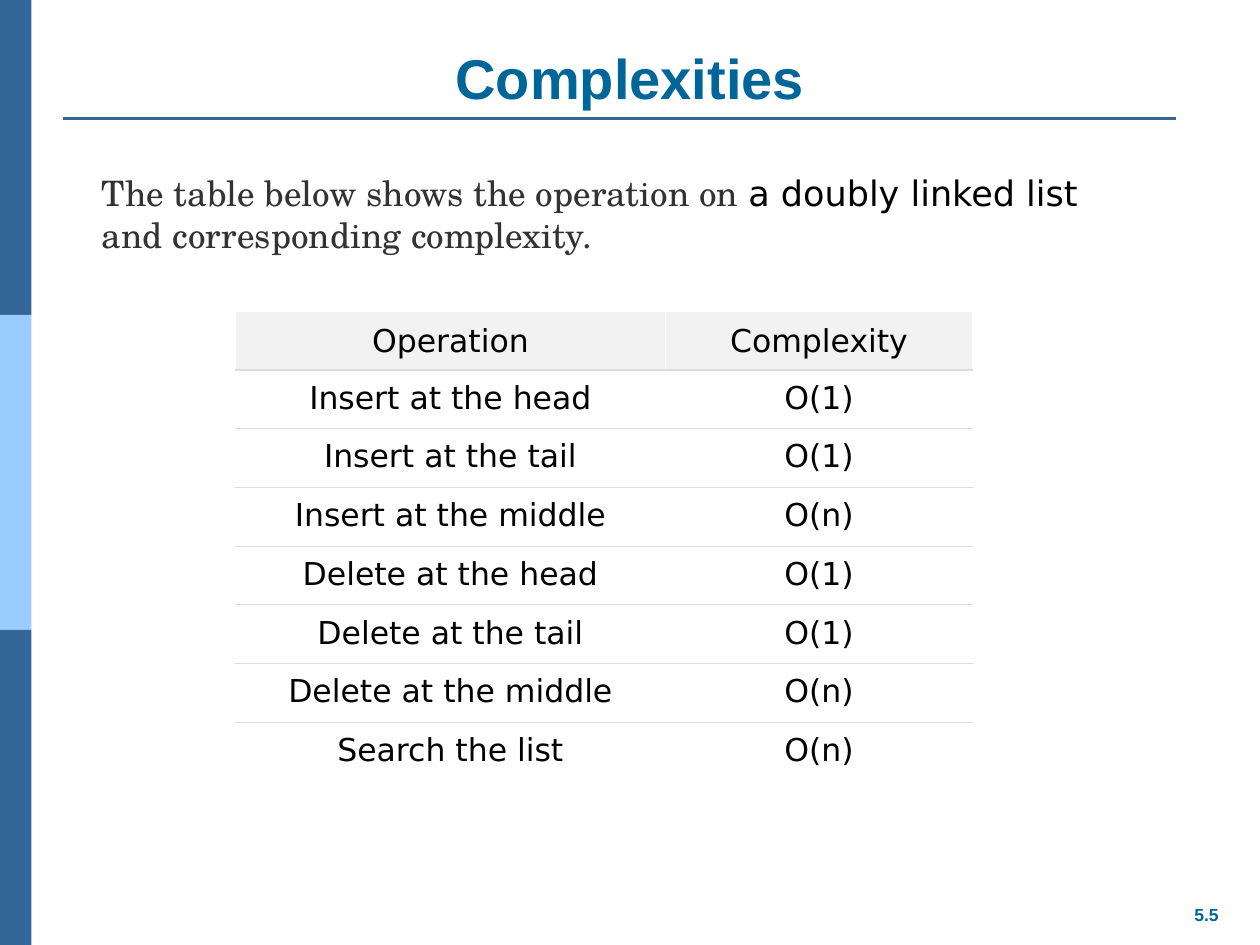
from lxml.etree import SubElement
from pptx import Presentation
from pptx.dml.color import RGBColor
from pptx.enum.shapes import MSO_CONNECTOR, MSO_SHAPE
from pptx.enum.text import MSO_ANCHOR, PP_ALIGN
from pptx.oxml import parse_xml
from pptx.oxml.ns import nsdecls, qn
from pptx.util import Inches, Pt


def color(value):
    return RGBColor.from_string(value)


def add_span(para, text, font_color, **formats):
    span = para.add_run()
    span.text = text
    span.font.color.rgb = color(font_color)
    for name, value in formats.items():
        setattr(span.font, name, value)


deck = Presentation()
deck.slide_width, deck.slide_height = Inches(10), Inches(7.5)
page = deck.slides.add_slide(deck.slide_layouts[6])

for index, fill in enumerate(["336699", "99CCFF", "336699"]):
    band = page.shapes.add_shape(
        MSO_SHAPE.RECTANGLE, 0, Inches(2.5 * index), Inches(0.25), Inches(2.5))
    band.shadow.inherit = False
    band.fill.solid()
    band.fill.fore_color.rgb = color(fill)
    band.line.fill.background()

rule = page.shapes.add_connector(
    MSO_CONNECTOR.STRAIGHT, Inches(0.5), Inches(0.94), Inches(9.33), Inches(0.94))
rule.line.color.rgb = color("336699")
rule.line.width = Pt(1.5)
SubElement(rule._element.spPr, qn("a:effectLst"))

rows = [
    ("Operation", "Complexity"),
    ("Insert at the head", "O(1)"),
    ("Insert at the tail", "O(1)"),
    ("Insert at the middle", "O(n)"),
    ("Delete at the head", "O(1)"),
    ("Delete at the tail", "O(1)"),
    ("Delete at the middle", "O(n)"),
    ("Search the list", "O(n)"),
]
table = page.shapes.add_table(
    len(rows), 2, Inches(1.87), Inches(2.47), Inches(5.85), Inches(3.73)).table
table.columns[0].width = Inches(3.41)
table.columns[1].width = Inches(2.44)
for row_index, row in enumerate(rows):
    for column_index, text in enumerate(row):
        cell = table.cell(row_index, column_index)
        for side in ("left", "right", "top", "bottom"):
            setattr(cell, f"margin_{side}", Inches(0.08))
        cell.vertical_anchor = MSO_ANCHOR.TOP if row_index else MSO_ANCHOR.BOTTOM
        cell.fill.solid()
        cell.fill.fore_color.rgb = color("FFFFFF" if row_index else "F2F2F2")
        borders = []
        if row_index > 0:
            borders.append("lnT")
        if row_index < len(rows) - 1:
            borders.append("lnB")
        for position, border in enumerate(borders):
            cell._tc.get_or_add_tcPr().insert(position, parse_xml(
                f'<a:{border} {nsdecls("a")} w="9525"><a:solidFill>'
                f'<a:srgbClr val="DDDDDD"/></a:solidFill></a:{border}>'))
        para = cell.text_frame.paragraphs[0]
        para.alignment = PP_ALIGN.CENTER
        add_span(para, text, "000000", name="DejaVu Sans", size=Pt(18))

heading = {"name": "Arial", "bold": True}
school = {"name": "TeX Gyre Schola", "size": Pt(20)}
sans = {"name": "DejaVu Sans", "size": Pt(20)}
texts = [
    ((9.33, 7.12, 0.49, 0.27), False, MSO_ANCHOR.MIDDLE, PP_ALIGN.CENTER,
     [("5.5", "006699", {**heading, "size": Pt(10)})]),
    ((0.5, 0.3, 9, 0.63), True, MSO_ANCHOR.BOTTOM, PP_ALIGN.CENTER,
     [("Complexities", "006699", {**heading, "size": Pt(32)})]),
    ((0.71, 1.31, 8.45, 0.77), True, MSO_ANCHOR.TOP, PP_ALIGN.LEFT,
     [("The table below shows the operation on ", "333333", school),
      ("a doubly linked list ", "000000", sans),
      ("and corresponding complexity.", "333333", school)]),
]
for place, wrap, anchor, alignment, spans in texts:
    box = page.shapes.add_textbox(*[Inches(length) for length in place])
    box.text_frame.word_wrap = wrap
    box.text_frame.vertical_anchor = anchor
    para = box.text_frame.paragraphs[0]
    para.alignment = alignment
    for text, font_color, formats in spans:
        add_span(para, text, font_color, **formats)

deck.save("out.pptx")
